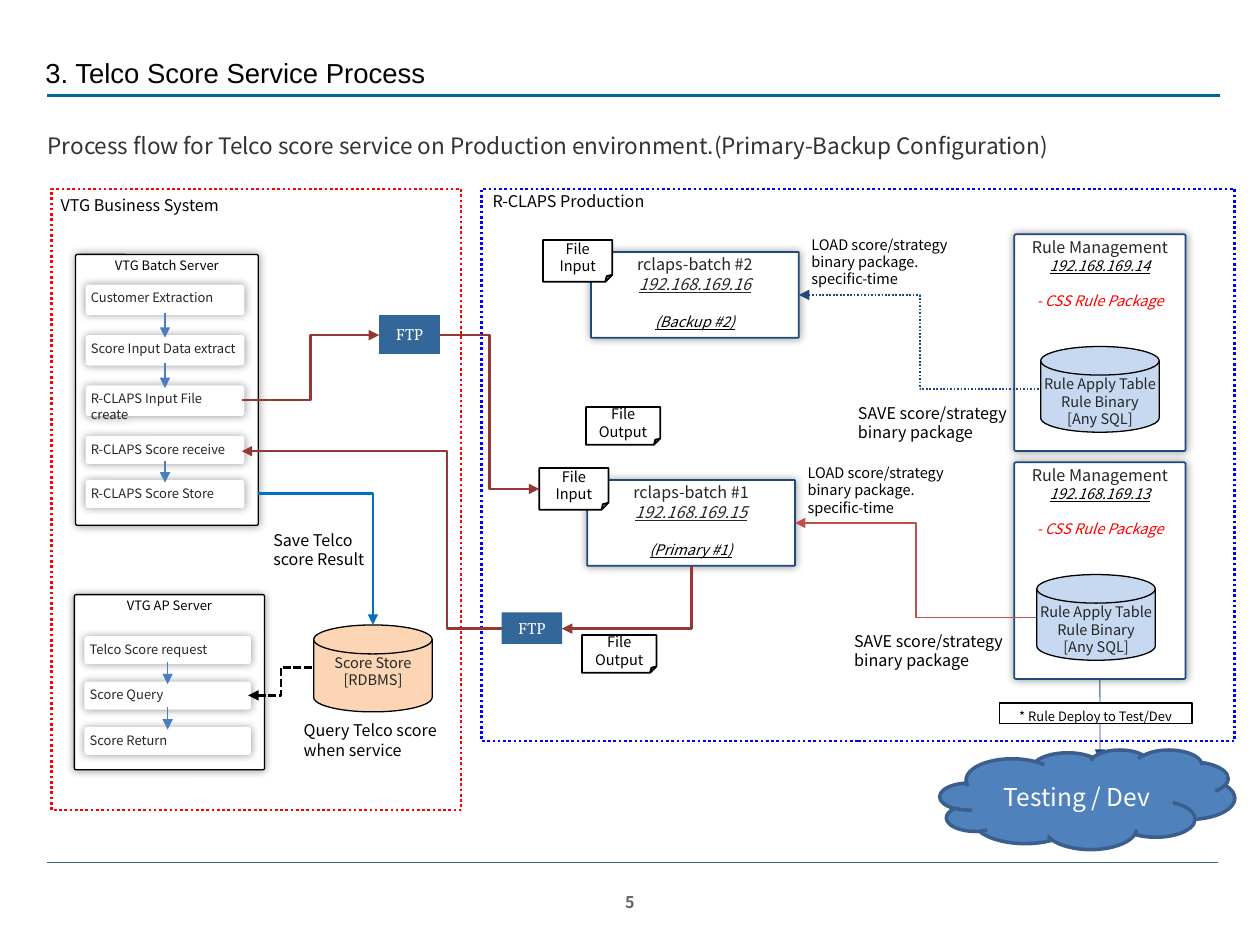
from itertools import pairwise

from lxml.etree import SubElement
from pptx import Presentation
from pptx.dml.color import RGBColor
from pptx.enum.dml import MSO_LINE as DASH
from pptx.enum.shapes import MSO_CONNECTOR as CONN, MSO_SHAPE as SHAPE
from pptx.enum.text import MSO_ANCHOR as ANCHOR, PP_ALIGN as ALIGN
from pptx.oxml.ns import qn
from pptx.util import Pt

COLORS = {
    "black": "000000", "white": "FFFFFF", "ink": "262626", "subtitle": "323232",
    "grey": "646464", "red": "FF0000", "blue": "0000FF", "navy": "1F497D",
    "title_line": "006699", "foot_line": "376092", "ftp": "336699",
    "step": "4B7EBC", "flow": "953735", "rule_flow": "C0504D", "save": "0070C0",
    "rule_db": "C6D9F1", "score_db": "FCD5B5", "cloud": "4F81BD", "cloud_line": "3A5F8C",
}
FONT = "Noto Sans CJK KR"
NO_INSET = (0, 0, 0, 0)
THIN_INSET = (1.44, 1.44, 1.44, 1.44)
BOX_INSET = (7.2, 3.6, 7.2, 3.6)


def rgb(name):
    return RGBColor.from_string(COLORS[name])


class Deck:
    """Holds the style and the current slide."""

    def __init__(self, slide):
        self.shapes = slide.shapes

    def set_text(self, sp, text, size=9.2, color="black", font=FONT, align=ALIGN.LEFT,
                 anchor=ANCHOR.TOP, inset=NO_INSET):
        tf = sp.text_frame
        tf.text = text
        tf.word_wrap = True
        tf.vertical_anchor = anchor
        tf.margin_left, tf.margin_top, tf.margin_right, tf.margin_bottom = map(Pt, inset)
        for p in tf.paragraphs:
            p.alignment = align
            self.style(p, size, color, font=font)
        return tf.paragraphs

    def style(self, p, size, color, italic=False, underline=False, font=FONT):
        for r in p.runs:
            f = r.font
            f.name, f.size, f.italic, f.underline = font, Pt(size), italic, underline
            f.color.rgb = rgb(color)

    def label(self, x, y, w, h, text, **style):
        sp = self.shapes.add_textbox(Pt(x), Pt(y), Pt(w), Pt(h))
        return self.set_text(sp, text, **style)

    def shape(self, kind, x, y, w, h, fill=None, line=None, width=1, dash=None):
        sp = self.shapes.add_shape(kind, Pt(x), Pt(y), Pt(w), Pt(h))
        sp.shadow.inherit = False
        if fill:
            sp.fill.solid()
            sp.fill.fore_color.rgb = rgb(fill)
        else:
            sp.fill.background()
        if line:
            sp.line.color.rgb = rgb(line)
            sp.line.width = Pt(width)
            if dash:
                sp.line.dash_style = dash
        else:
            sp.line.fill.background()
        return sp

    def card(self, x, y, w, h, line, width, text, **style):
        """White box with a soft glow-like shadow."""
        sp = self.shape(SHAPE.ROUNDED_RECTANGLE, x, y, w, h, "white", line, width)
        sp.adjustments[0] = 0.01
        effects = sp._element.spPr.find(qn("a:effectLst"))
        shadow = SubElement(effects, qn("a:outerShdw"), blurRad=str(Pt(5)), dist="0",
                            algn="ctr", rotWithShape="0")
        color = SubElement(shadow, qn("a:srgbClr"), val=COLORS["black"])
        SubElement(color, qn("a:alpha"), val="40000")
        return sp, self.set_text(sp, text, inset=THIN_INSET, **style)

    def disk(self, x, y, w, h, fill, text):
        sp = self.shape(SHAPE.FLOWCHART_MAGNETIC_DISK, x, y, w, h, fill, "black", 0.75)
        self.set_text(sp, text, 8.3, "ink", align=ALIGN.CENTER)

    def note(self, x, y, w, h, text):
        sp = self.shape(SHAPE.FOLDED_CORNER, x, y, w, h, "white", "black")
        self.set_text(sp, text, 8.3, align=ALIGN.CENTER, anchor=ANCHOR.MIDDLE, inset=BOX_INSET)

    def ftp(self, x, y, w, h):
        sp = self.shape(SHAPE.RECTANGLE, x, y, w, h, "ftp")
        self.set_text(sp, "FTP", color="white", font="Vollkorn", align=ALIGN.CENTER,
                      anchor=ANCHOR.MIDDLE, inset=BOX_INSET)

    def line(self, x1, y1, x2, y2, color, width, head=False, tail=False, dash=None,
             kind=CONN.STRAIGHT, bend=None, corner=False):
        c = self.shapes.add_connector(kind, Pt(x1), Pt(y1), Pt(x2), Pt(y2))
        c.line.color.rgb = rgb(color)
        c.line.width = Pt(width)
        if dash:
            c.line.dash_style = dash
        spPr = c._element.spPr
        ln = spPr.find(qn("a:ln"))
        for on, tag in ((head, "a:headEnd"), (tail, "a:tailEnd")):
            if on:
                SubElement(ln, qn(tag), type="triangle")
        SubElement(spPr, qn("a:effectLst"))
        geom = spPr.find(qn("a:prstGeom"))
        if corner:
            geom.set("prst", "bentConnector2")
        if bend:
            SubElement(geom.find(qn("a:avLst")), qn("a:gd"), name="adj1",
                       fmla=f"val {round(bend * 100000)}")
        return c

    def elbow(self, *args, **kw):
        return self.line(*args, kind=CONN.ELBOW, **kw)

    def server(self, x, y, w, h, title, step_x, step_w, steps, arrows):
        """Server box with its steps; arrows lists the gaps that carry one."""
        self.card(x, y, w, h, "black", 0.75, title, size=7.4, align=ALIGN.CENTER)
        boxes = [self.card(step_x, top, step_w, tall, "white", 3, text, size=7.4, color="ink")[0]
                 for top, tall, text in steps]
        for i, (upper, lower) in enumerate(pairwise(boxes)):
            if i in arrows:
                c = self.line(0, 0, 0, 0, "step", 0.75, tail=True)
                c.begin_connect(upper, 2)
                c.end_connect(lower, 0)

    def production(self, dx, dy, number, batch_ip, role, rule_ip, color, dash=None):
        """One batch engine with its rule management; dx and dy shift the group."""
        center = ALIGN.CENTER
        _, ps = self.card(337.7 + dx, 144 + dy, 118.8, 49, "navy", 1,
                          f"rclaps-batch #{number}\n{batch_ip}\n{role}",
                          color="ink", align=center)
        self.style(ps[1], 9.2, "ink", True, True)
        self.style(ps[2], 8.3, "black", True, True)
        ps[2].space_before = Pt(11)
        rule, ps = self.card(579.6, 133.9 + dy, 97.9, 123.8, "navy", 1,
                             f"Rule Management\n{rule_ip}\n- CSS Rule Package",
                             color="ink", align=center)
        self.style(ps[1], 8.3, "black", True, True)
        self.style(ps[2], 8.3, "red", True)
        ps[2].space_before = Pt(10)
        self.label(490.3 + dx, 230.4 + dy, 89.3, 22.3, "SAVE score/strategy\nbinary package")
        self.label(463.7 + dx, 134.6 + dy, 93.6, 30.2,
                   "LOAD score/strategy binary package.\nspecific-time", size=8.3)
        self.elbow(456.5 + dx, 168.5 + dy, 594.7 + dx, 222.5 + dy, color, 1,
                   head=True, dash=dash)
        self.disk(594.7 + dx, 198 + dy, 67.7, 49, "rule_db",
                  "Rule Apply Table\nRule Binary\n[Any SQL]")
        self.note(310.3 + dx, 137.2 + dy, 39.6, 23.8, "File Input")
        self.note(334.8 + dx, 232.6 + dy, 42.5, 21.6, "File\nOutput")
        return rule


def main():
    prs = Presentation()
    prs.slide_width, prs.slide_height = Pt(720), Pt(540)
    d = Deck(prs.slides.add_slide(prs.slide_layouts[6]))

    # Heading and footer
    d.line(26.6, 492.5, 696.2, 492.5, "foot_line", 0.25)
    d.line(26.6, 54.7, 697, 54.7, "title_line", 1.5)
    title = d.label(25.9, 21.6, 312.5, 25.9, "3. Telco Score Service Process", size=15.7,
                    font="Arial", anchor=ANCHOR.MIDDLE)
    title[0].line_spacing = Pt(33.2)
    d.label(20.2, 72, 680.4, 23, "Process flow for Telco score service on Production "
            "environment.(Primary-Backup Configuration)", size=12.9, color="subtitle",
            inset=BOX_INSET)
    number = d.label(347, 506.2, 25.9, 20.9, "5", color="grey", align=ALIGN.CENTER,
                     inset=BOX_INSET)
    number[0].runs[0].font.bold = True

    # System areas
    for x, w, h, color in ((29.5, 234, 355, "red"), (275, 430.6, 315.4, "blue")):
        d.shape(SHAPE.RECTANGLE, x, 108, w, h, line=color, width=1.5, dash=DASH.ROUND_DOT)
    d.label(34.6, 111.6, 134.6, 11.5, "VTG Business System")
    d.label(281.5, 109.4, 129.6, 11.5, "R-CLAPS Production")

    # Business servers
    d.server(43.2, 145.4, 104.4, 154.8, "VTG Batch Server", 50.4, 87.8, [
        (164.2, 14.4, "Customer Extraction"),
        (193, 14.4, "Score Input Data extract"),
        (221.8, 14.4, "R-CLAPS Input File create"),
        (250.6, 13, "R-CLAPS Score receive"),
        (275.8, 13, "R-CLAPS Score Store")], arrows=(0, 1, 3))
    d.server(42.5, 339.8, 108.7, 100.1, "VTG AP Server", 49.7, 92.2, [
        (365, 13, "Telco Score request"),
        (391, 13, "Score Query"),
        (416.9, 13, "Score Return")], arrows=(0, 1))

    # Backup and primary engines
    d.production(0, 0, 2, "192.168.169.16", "(Backup #2)", "192.168.169.14", "navy",
                 DASH.ROUND_DOT)
    rule = d.production(-2.2, 130.3, 1, "192.168.169.15", "(Primary #1)", "192.168.169.13",
                        "rule_flow")

    # Score store
    d.disk(179.3, 357.1, 67.7, 49.7, "score_db", "Score Store\n[RDBMS]")
    d.label(156.2, 303.1, 52.6, 22.3, "Save Telco\nscore Result")
    d.label(173.5, 411.8, 84.2, 22.3, "Query Telco score\nwhen service")
    d.elbow(147.6, 282.2, 213.1, 357.1, "save", 1.5, tail=True, corner=True)
    d.elbow(141.8, 397.4, 179.3, 381.6, "black", 1.5, head=True, dash=DASH.SQUARE_DOT)

    # File transfer
    d.elbow(216.7, 191.5, 138.2, 228.6, "flow", 1.5, head=True)
    d.elbow(308.2, 279.4, 251.3, 191.5, "flow", 1.5, head=True)
    d.elbow(138.2, 257.8, 286.6, 359.3, "flow", 1.5, head=True, bend=0.79)
    d.elbow(321.1, 359.3, 395.3, 323.3, "flow", 1.5, head=True, corner=True)
    d.ftp(216.7, 180, 34.6, 22.3)
    d.ftp(286.6, 350, 34.6, 18)

    # Deployment to test
    c = d.line(628.6, 388, 628.6, 434.2, "navy", 0.5, tail=True)
    c.begin_connect(rule, 2)
    sp = d.shape(SHAPE.RECTANGLE, 571, 401.8, 110.2, 11.5, "white", "black", 0.75)
    d.set_text(sp, "* Rule Deploy to Test/Dev", 7.4, align=ALIGN.CENTER,
               inset=(2.9, 2.9, 2.9, 0))
    sp = d.shape(SHAPE.CLOUD, 537.1, 428.4, 168.5, 56.9, "cloud", "cloud_line", 2)
    d.set_text(sp, "Testing / Dev", 14, "white", align=ALIGN.CENTER, anchor=ANCHOR.MIDDLE,
               inset=BOX_INSET)

    prs.save("out.pptx")


if __name__ == "__main__":
    main()
